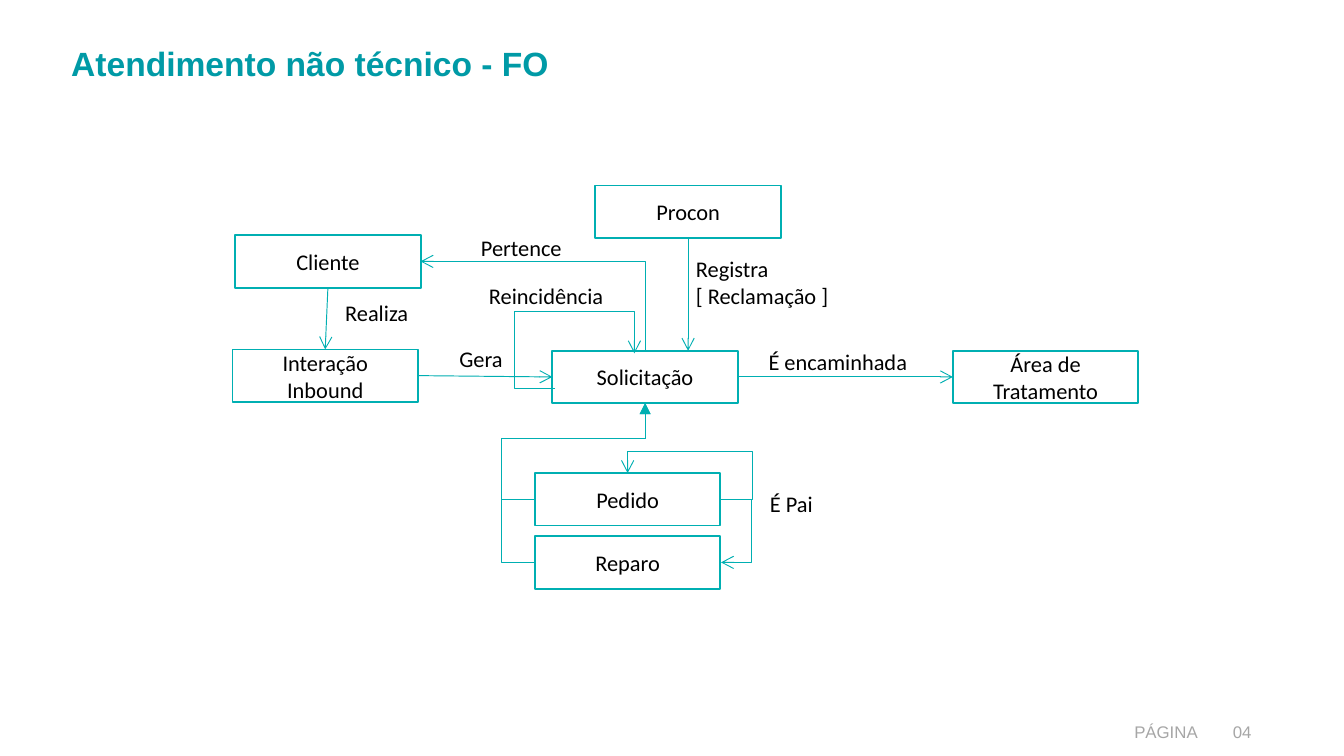
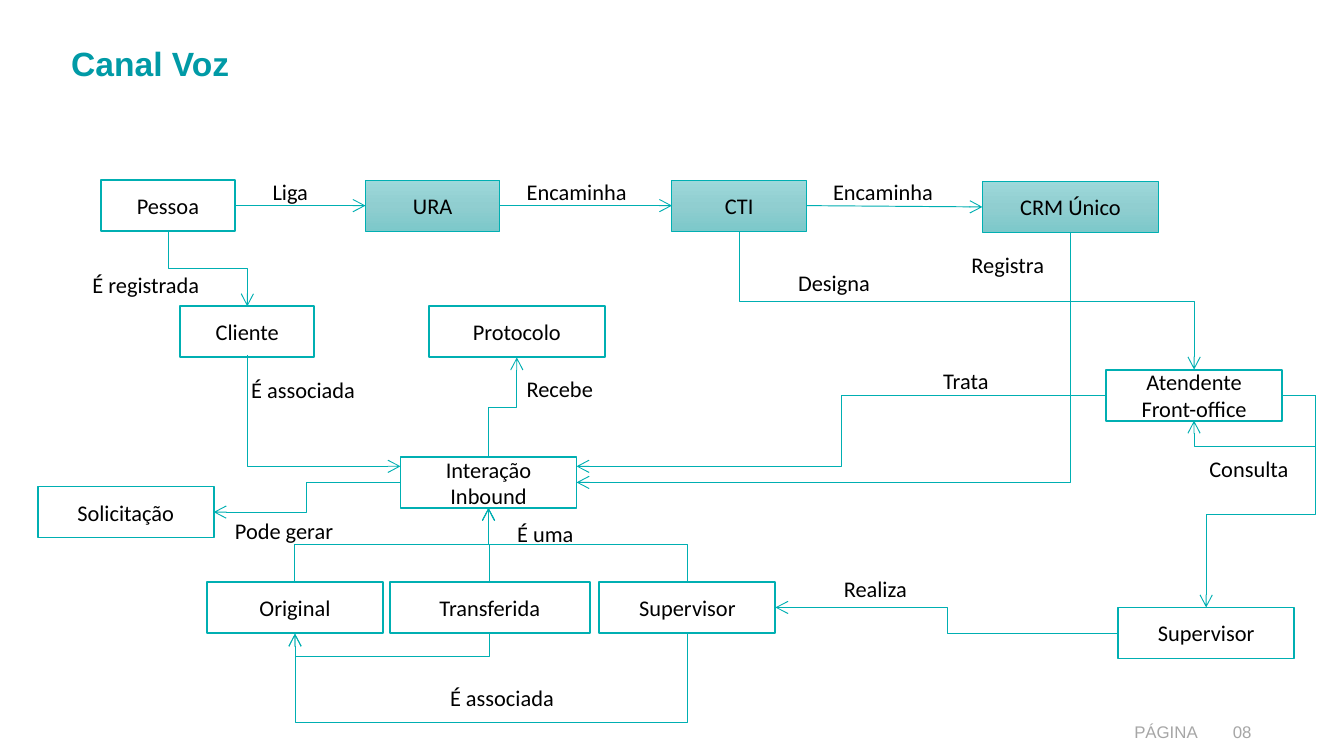
from copy import deepcopy

from lxml import etree
from pptx import Presentation
from pptx.dml.color import RGBColor
from pptx.enum.shapes import MSO_CONNECTOR, MSO_SHAPE
from pptx.enum.text import MSO_ANCHOR, MSO_AUTO_SIZE, PP_ALIGN
from pptx.oxml.ns import qn
from pptx.util import Inches, Pt

COLORS = {
    "paper": "FFFFFF",
    "ink": "000000",
    "teal": "00AFB2",
    "title": "009AA6",
    "footer": "A6A6A6",
}
SYSTEM_GRADIENT = [(0, "9DD8DA"), (0.5, "90CED0"), (1, "7CC8CA")]
STRAIGHT, ELBOW = MSO_CONNECTOR.STRAIGHT, MSO_CONNECTOR.ELBOW
RECTANGLE = MSO_SHAPE.RECTANGLE
TOP, MIDDLE = MSO_ANCHOR.TOP, MSO_ANCHOR.MIDDLE
FIXED, GROW = MSO_AUTO_SIZE.NONE, MSO_AUTO_SIZE.SHAPE_TO_FIT_TEXT
LEFT_ALIGN, CENTER, RIGHT_ALIGN = PP_ALIGN.LEFT, PP_ALIGN.CENTER, PP_ALIGN.RIGHT
ABOVE, LEFT, BELOW, RIGHT = range(4)


def rgb(name):
    """Return a colour of the palette."""
    return RGBColor.from_string(COLORS[name])


def write(shape, text, size, color, font, align, bold=False):
    """Put text in a shape, one paragraph a line, in a single style."""
    shape.text_frame.text = text
    for para in shape.text_frame.paragraphs:
        para.alignment = align
        para.font.size = Pt(size)
        para.font.name = font
        para.font.bold = bold
        para.font.color.rgb = rgb(color)


def shade(shape):
    """Fill a shape with the vertical gradient of the systems."""
    shape.fill.gradient()
    shape.fill.gradient_angle = 270
    stop_list = shape._element.spPr.find(".//" + qn("a:gsLst"))
    stop_list.insert(1, deepcopy(stop_list[0]))
    for stop, (position, color) in zip(shape.fill.gradient_stops, SYSTEM_GRADIENT):
        stop.position = position
        stop.color.rgb = RGBColor.from_string(color)


def bend(connector, bends, upright):
    """Route an elbow through the given turns, starting upright or level."""
    begin = (connector.begin_x, connector.begin_y)
    end = (connector.end_x, connector.end_y)
    axes = (1, 0) if upright else (0, 1)
    deltas = [end[axis] - begin[axis] for axis in axes]
    sizes = [max(abs(delta), Inches(0.01)) for delta in deltas]
    center = [(begin[axis] + end[axis]) // 2 for axis in (0, 1)]
    connector.width, connector.height = sizes
    connector.left = center[0] - sizes[0] // 2
    connector.top = center[1] - sizes[1] // 2

    properties = connector._element.spPr
    frame = properties.find(qn("a:xfrm"))
    frame.set("rot", "5400000" if upright else "0")
    frame.set("flipH", str(int(deltas[0] < 0)))
    frame.set("flipV", str(int((deltas[1] > 0) if upright else (deltas[1] < 0))))

    geometry = properties.find(qn("a:prstGeom"))
    geometry.set("prst", f"bentConnector{len(bends) + 2}")
    guides = geometry.get_or_add_avLst()
    for number, (turn, axis, delta, size) in enumerate(zip(bends, axes, deltas, sizes), 1):
        sign = -1 if delta < 0 else 1
        ratio = sign * (turn - begin[axis]) / size
        guide = etree.SubElement(guides, qn("a:gd"))
        guide.set("name", f"adj{number}")
        guide.set("fmla", f"val {round(ratio * 100000)}")


class Diagram:
    """A flow diagram whose parts are placed from its top left corner."""

    def __init__(self, page, left, top, box_width, box_height):
        """Keep the corner and the usual size of a box."""
        self.shapes = page.shapes
        self.origin = (left, top)
        self.box_width, self.box_height = box_width, box_height

    def place(self, x, y):
        """Turn a point of the diagram into a point of the page."""
        return Inches(self.origin[0] + x), Inches(self.origin[1] + y)

    def box(self, text, x, y, width=None, system=False):
        """Draw a box, shaded if it is a system."""
        size = Inches(width or self.box_width), Inches(self.box_height)
        shape = self.shapes.add_shape(RECTANGLE, *self.place(x, y), *size)
        shape.shadow.inherit = False
        if system:
            shade(shape)
        else:
            shape.fill.solid()
            shape.fill.fore_color.rgb = rgb("paper")
        shape.line.color.rgb = rgb("teal")
        shape.line.width = Pt(0.5 if system else 1)
        shape.text_frame.word_wrap = True
        shape.text_frame.vertical_anchor = MIDDLE
        write(shape, text, 12, "ink", "Calibri", CENTER)
        return shape

    def label(self, text, x, y, width, wrap=False):
        """Write the name of a relation."""
        height = 0.3 + 0.2 * text.count("\n")
        shape = self.shapes.add_textbox(*self.place(x, y), Inches(width), Inches(height))
        shape.text_frame.word_wrap = wrap
        shape.text_frame.auto_size = GROW
        write(shape, text, 12, "ink", "Calibri", LEFT_ALIGN)

    def link(self, start, end, bends=None, upright=False, head="arrow"):
        """Join two ends, each a box with a side or a point."""
        kind = STRAIGHT if bends is None else ELBOW
        points = [(0, 0) if hasattr(first, "shape_id") else self.place(first, second)
                  for first, second in (start, end)]
        connector = self.shapes.add_connector(kind, *points[0], *points[1])
        if hasattr(start[0], "shape_id"):
            connector.begin_connect(*start)
        if hasattr(end[0], "shape_id"):
            connector.end_connect(*end)
        if bends is not None:
            first_axis = 1 if upright else 0
            turns = [Inches(self.origin[(first_axis + index) % 2] + turn)
                     for index, turn in enumerate(bends)]
            bend(connector, turns, upright)
        connector.line.color.rgb = rgb("teal")
        connector.line.width = Pt(0.5)
        tail = etree.SubElement(connector.line._get_or_add_ln(), qn("a:tailEnd"))
        tail.set("type", head)
        etree.SubElement(connector._element.spPr, qn("a:effectLst"))


def add_footer(page, number, left, top):
    """Write the page caption and number."""
    for text, x, width in ((number, 8.43, 0.55), ("PÁGINA", 0, 8.58)):
        shape = page.shapes.add_textbox(Inches(left + x), Inches(top), Inches(width), Inches(0.3))
        shape.text_frame.word_wrap = True
        write(shape, text, 9, "footer", "Arial", RIGHT_ALIGN)


def add_page(deck, title_text, number):
    """Add a page with its title and footer."""
    page = deck.slides.add_slide(deck.slide_layouts[5])
    title = page.shapes.title
    title.left, title.top = Inches(0.43), Inches(0.3)
    title.width, title.height = Inches(8.43), Inches(0.86)
    title.text_frame.vertical_anchor = TOP
    title.text_frame.word_wrap = True
    title.text_frame.auto_size = FIXED
    write(title, title_text, 18, "title", "Arial", LEFT_ALIGN, bold=True)
    title.text_frame.paragraphs[0].line_spacing = 0.9
    add_footer(page, number, 0.43, 5.32)
    return page


def draw_service(page, left, top):
    """Draw the service request flow."""
    flow = Diagram(page, left, top, 1.38, 0.39)
    interaction = flow.box("Interação Inbound", 0, 1.22)
    request = flow.box("Solicitação", 2.38, 1.23)
    order = flow.box("Pedido", 2.25, 2.14)
    repair = flow.box("Reparo", 2.25, 2.61)
    area = flow.box("Área de Tratamento", 5.36, 1.23)
    client = flow.box("Cliente", 0.02, 0.37)
    agency = flow.box("Procon", 2.7, 0)

    flow.link((request, RIGHT), (area, LEFT))
    flow.link((interaction, RIGHT), (request, LEFT))
    flow.link((client, BELOW), (interaction, ABOVE))
    flow.link((agency, BELOW), (3.39, 1.23))
    for child in (order, repair):
        flow.link((child, LEFT), (request, BELOW), (2, 1.88), head="triangle")
    flow.link((2.4, 1.51), (2.99, 1.25), (2.1, 0.94))
    flow.link((request, ABOVE), (client, RIGHT), (), upright=True)
    flow.link((order, RIGHT), (order, ABOVE), (3.87, 1.98))
    flow.link((order, RIGHT), (repair, RIGHT), (3.87,))

    flow.label("É encaminhada", 3.89, 1.16, 1.46, wrap=True)
    flow.label("Realiza", 0.74, 0.8, 0.68)
    flow.label("Gera", 1.59, 1.14, 0.53)
    flow.label("Reincidência", 1.81, 0.67, 1.06)
    flow.label("Registra\n[ Reclamação ]", 3.35, 0.47, 1.47, wrap=True)
    flow.label("Pertence", 1.75, 0.31, 0.81)
    flow.label("É Pai", 3.9, 2.22, 1.46, wrap=True)


def draw_voice(page, left, top):
    """Draw the voice channel flow."""
    flow = Diagram(page, left, top, 1.31, 0.38)
    person = flow.box("Pessoa", 0.47, 0, 1)
    answering = flow.box("URA", 2.44, 0, 1, system=True)
    telephony = flow.box("CTI", 4.72, 0, 1, system=True)
    records = flow.box("CRM Único", 7.03, 0.01, system=True)
    client = flow.box("Cliente", 1.06, 0.94, 1)
    protocol = flow.box("Protocolo", 2.91, 0.94)
    attendant = flow.box("Atendente Front-office", 7.95, 1.41)
    interaction = flow.box("Interação Inbound", 2.7, 2.06)
    request = flow.box("Solicitação", 0, 2.28)
    original = flow.box("Original", 1.26, 2.99)
    transferred = flow.box("Transferida", 2.62, 2.99, 1.49)
    supervised = flow.box("Supervisor", 4.18, 2.99)
    supervisor = flow.box("Supervisor", 8.04, 3.18)

    systems = (person, answering, telephony, records)
    for sender, receiver in zip(systems, systems[1:]):
        flow.link((sender, RIGHT), (receiver, LEFT))
    for kind in (original, transferred, supervised):
        flow.link((kind, ABOVE), (interaction, BELOW), (2.71,), upright=True)
    for kind, turn in ((transferred, 3.55), (supervised, 4.05)):
        flow.link((kind, BELOW), (original, BELOW), (turn,), upright=True)
    flow.link((person, BELOW), (client, ABOVE), (0.66,), upright=True)
    flow.link((1.56, 1.3), (2.7, 2.13), (), upright=True)
    flow.link((interaction, ABOVE), (protocol, BELOW), (1.69,), upright=True)
    flow.link((records, BELOW), (interaction, RIGHT), (), upright=True)
    flow.link((telephony, BELOW), (attendant, ABOVE), (0.9,), upright=True)
    flow.link((attendant, RIGHT), (attendant, BELOW), (9.51, 1.98))
    flow.link((attendant, RIGHT), (supervisor, ABOVE), (9.51, 2.49))
    flow.link((supervisor, LEFT), (supervised, RIGHT), (6.77,))
    flow.link((attendant, LEFT), (4.01, 2.13), (5.98,))
    flow.link((interaction, LEFT), (request, RIGHT), (2,))

    flow.label("Liga", 1.65, -0.06, 0.47)
    for x in (3.54, 5.82):
        flow.label("Encaminha", x, -0.06, 0.95)
    for x, y in ((1.49, 1.41), (2.97, 3.7)):
        flow.label("É associada", x, y, 0.99)
    flow.label("Designa", 5.56, 0.61, 0.74)
    flow.label("Registra", 6.85, 0.48, 0.75)
    flow.label("É registrada", 0.31, 0.63, 1)
    flow.label("Recebe", 3.54, 1.4, 0.7)
    flow.label("Trata", 6.64, 1.34, 0.54)
    flow.label("Consulta", 8.62, 2, 0.8)
    flow.label("Pode gerar", 1.37, 2.46, 0.94)
    flow.label("É uma", 3.47, 2.48, 0.63)
    flow.label("Realiza", 5.9, 2.89, 0.68)


def main():
    """Build and save the deck."""
    deck = Presentation()
    deck.slide_width = Inches(10)
    deck.slide_height = deck.slide_width * 9 // 16
    draw_service(add_page(deck, "Atendimento não técnico - FO", "04"), 1.73, 1.38)
    draw_voice(add_page(deck, "Canal Voz", "08"), 0.28, 1.34)
    deck.save("out.pptx")


if __name__ == "__main__":
    main()
